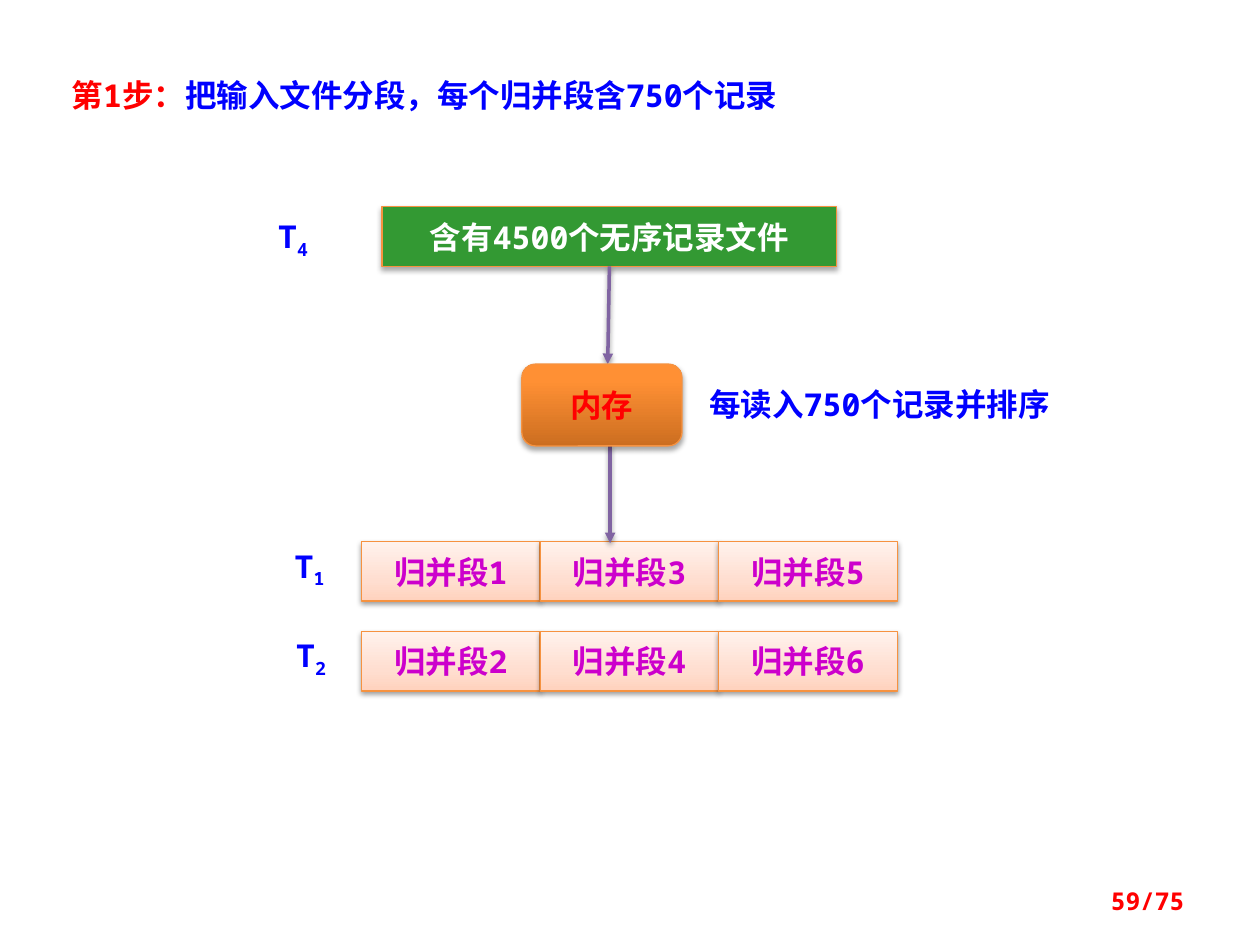
from lxml.etree import SubElement
from pptx import Presentation
from pptx.dml.color import RGBColor
from pptx.enum.shapes import MSO_CONNECTOR, MSO_SHAPE
from pptx.enum.text import MSO_ANCHOR, MSO_AUTO_SIZE, PP_ALIGN
from pptx.oxml.ns import qn
from pptx.util import Cm, Pt

THEME = {
    "font": "Noto Sans Mono", "size": 18, "small": 14,
    "red": "FF0000", "blue": "0000FF", "pink": "CC00CC", "white": "FFFFFF",
    "green": "339933", "edge": "F69240", "arrow": "8064A2",
    "peach": [(0, "FFD2BD"), (35, "FFDED0"), (100, "FFF2ED")],
    "orange": [(0, "CC6E20"), (80, "FF9034"), (100, "FF9136")],
}

# Runs are (text, colour, baseline in percent); lengths are in cm.
TITLE = [("第1步：", "red", 0), ("把输入文件分段，每个归并段含750个记录", "blue", 0)]
FILE = "含有4500个无序记录文件"
MEMORY = "内存"
NOTE = "每读入750个记录并排序"
PAGE = "59/75"
TAPES = [("1", (5.94, 11.02, 1.02, 0.76), PP_ALIGN.LEFT),
         ("2", (5.97, 12.83, 1.02, 0.76), PP_ALIGN.LEFT),
         ("4", (5.11, 4.37, 1.6, 0.76), PP_ALIGN.CENTER)]
ROWS = [["归并段1", "归并段3", "归并段5"], ["归并段2", "归并段4", "归并段6"]]
LEFT, TOP, WIDE, HIGH, STEP = 7.29, 10.92, 3.6, 1.2, 1.81


def rgb(key):
    return RGBColor.from_string(THEME[key])


def add_xml(parent, tag, **attrs):
    return SubElement(parent, qn(tag), {k: str(v) for k, v in attrs.items()})


def write(shape, runs, align=PP_ALIGN.LEFT, size="size", inset=None, **frame):
    box = shape.text_frame
    frame = {"word_wrap": True, "auto_size": MSO_AUTO_SIZE.NONE,
             "vertical_anchor": MSO_ANCHOR.TOP, **frame}
    if inset is not None:
        for side in ("left", "top", "right", "bottom"):
            frame["margin_" + side] = Cm(inset)
    for name, value in frame.items():
        setattr(box, name, value)
    para = box.paragraphs[0]
    para.alignment = align
    for text, color, base in runs:
        run = para.add_run()
        run.text = text
        style = {"name": THEME["font"], "size": Pt(THEME[size]), "bold": True}
        for name, value in style.items():
            setattr(run.font, name, value)
        run.font.color.rgb = rgb(color)
        props = run.font._element
        add_xml(props, "a:ea", typeface=THEME["font"])
        if base:
            props.set("baseline", str(base * 1000))


def label(slide, place, runs, **form):
    write(slide.shapes.add_textbox(*map(Cm, place)), runs, **form)


def shade(shape, alpha=38, dist=1.6):
    """Give the shape a soft shadow that falls straight down."""
    props = shape._element.spPr
    for old in props.findall(qn("a:effectLst")):
        props.remove(old)
    drop = add_xml(add_xml(props, "a:effectLst"), "a:outerShdw", blurRad=Pt(3.1),
                   dist=Pt(dist), dir=5400000, rotWithShape=0)
    tint = add_xml(drop, "a:srgbClr", val="000000")
    add_xml(tint, "a:alpha", val=alpha * 1000)


def blend(shape, stops):
    """Fill with a gradient that runs from bottom to top."""
    shape.fill.gradient()
    grad = shape._element.spPr.find(qn("a:gradFill"))
    for child in list(grad):
        grad.remove(child)
    chain = add_xml(grad, "a:gsLst")
    for pos, color in stops:
        add_xml(add_xml(chain, "a:gs", pos=pos * 1000), "a:srgbClr", val=color)
    add_xml(grad, "a:lin", ang=16200000, scaled=0)


def block(slide, place, text, color, fill, kind=MSO_SHAPE.RECTANGLE, **shadow):
    shape = slide.shapes.add_shape(kind, *map(Cm, place))
    if isinstance(THEME[fill], list):
        blend(shape, THEME[fill])
    else:
        shape.fill.solid()
        shape.fill.fore_color.rgb = rgb(fill)
    shape.line.color.rgb = rgb("edge")
    shape.line.width = Pt(0.75)
    shade(shape, **shadow)
    write(shape, [(text, color, 0)], PP_ALIGN.CENTER,
          word_wrap=False, vertical_anchor=MSO_ANCHOR.MIDDLE)
    return shape


def arrow(slide, *ends):
    link = slide.shapes.add_connector(MSO_CONNECTOR.STRAIGHT, *map(Cm, ends))
    link.line.color.rgb = rgb("arrow")
    link.line.width = Pt(2)
    add_xml(link.line._get_or_add_ln(), "a:tailEnd", type="triangle")
    shade(link)
    return link


def main():
    deck = Presentation()
    deck.slide_width, deck.slide_height = Cm(25.4), Cm(19.05)
    slide = deck.slides.add_slide(deck.slide_layouts[5])

    title = slide.shapes.title
    spots = zip(("left", "top", "width", "height"), (1.19, 1.4, 17.55, 1.02))
    for name, value in spots:
        setattr(title, name, Cm(value))
    write(title, TITLE)

    for row, names in enumerate(ROWS):
        for col, name in enumerate(names):
            place = (LEFT + col * WIDE, TOP + row * STEP, WIDE, HIGH)
            block(slide, place, name, "pink", "peach")
    for sub, place, align in TAPES:
        label(slide, place, [("T", "blue", 0), (sub, "blue", -25)],
              align=align, inset=0)

    deep = {"alpha": 35, "dist": 1.8}
    source = block(slide, (7.7, 4.17, 9.17, HIGH), FILE, "white", "green", **deep)
    arrow(slide, 12.28, 5.37, 12.25, 7.34).begin_connect(source, 2)
    arrow(slide, 12.3, 8.97, 12.3, 10.95)
    block(slide, (10.52, 7.34, 3.23, 1.65), MEMORY, "red", "orange",
          MSO_SHAPE.ROUNDED_RECTANGLE, **deep)
    label(slide, (14.3, 7.77, 7.72, 0.76), [(NOTE, "blue", 0)], inset=0)
    label(slide, (18.21, 17.65, 5.92, 1.02), [(PAGE, "red", 0)],
          align=PP_ALIGN.RIGHT, size="small", vertical_anchor=MSO_ANCHOR.MIDDLE)
    deck.save("out.pptx")


if __name__ == "__main__":
    main()
